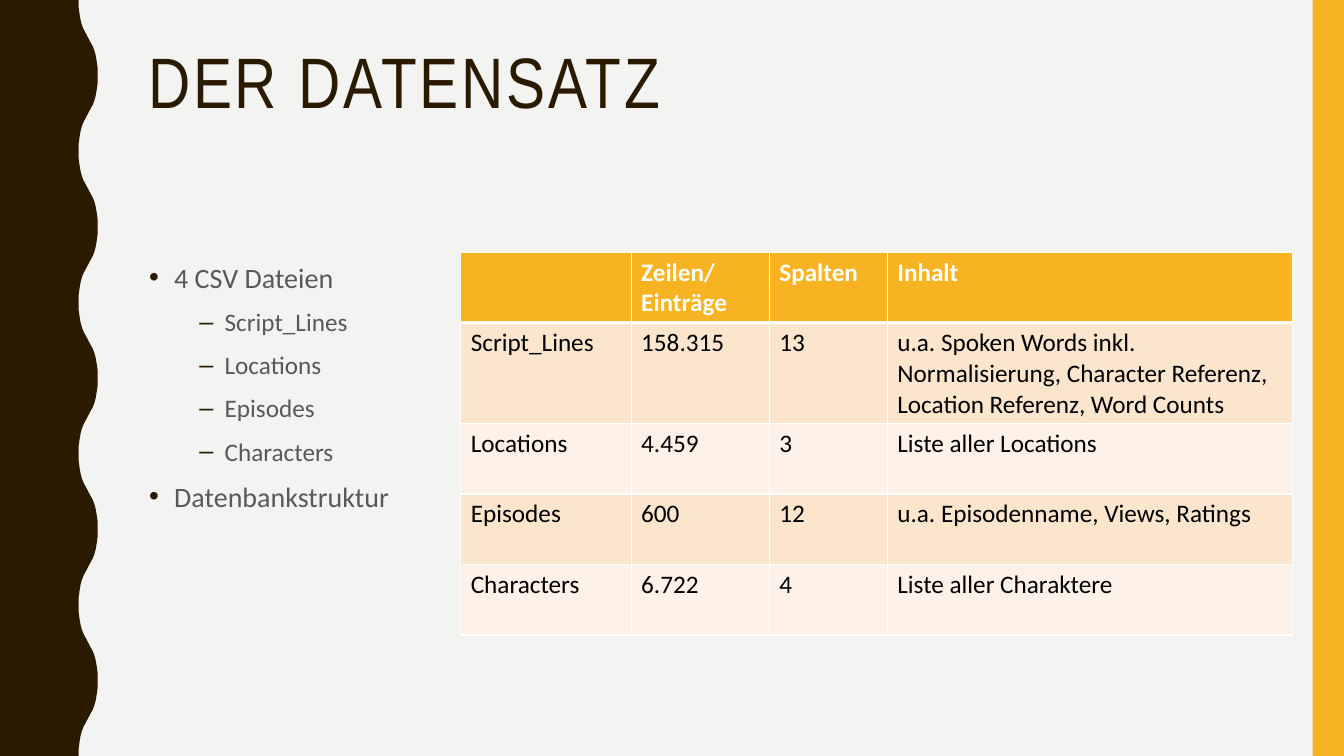
"""Build the slide that describes the data set: a file list beside a table."""
from lxml import etree
from pptx import Presentation
from pptx.dml.color import RGBColor
from pptx.enum.shapes import MSO_SHAPE
from pptx.enum.text import MSO_ANCHOR
from pptx.oxml.ns import qn
from pptx.util import Inches, Pt

RECTANGLE = MSO_SHAPE.RECTANGLE
TOP = MSO_ANCHOR.TOP
color = RGBColor.from_string
BROWN, GOLD, WHITE, GREY, BLACK = "2A1A00", "F8B323", "FFFFFF", "595959", "000000"
BANDS = ["FCE5CD", "FEF2E8"]

deck = Presentation()
deck.slide_width, deck.slide_height = Inches(13.33), Inches(7.5)
COLUMN, ROW = deck.slide_width / 100, deck.slide_height / 100


def place(*lengths):
    """Turn alternating grid columns and rows into slide lengths."""
    return [int(length * (ROW if index % 2 else COLUMN)) for index, length in enumerate(lengths)]


def add_span(para, text, size, hue, font="Calibri", bold=False):
    """Add one styled run to a paragraph."""
    span = para.add_run()
    span.text = text
    span.font.size, span.font.name, span.font.bold = Pt(size), font, bold
    span.font.color.rgb = color(hue)
    return span


page = deck.slides.add_slide(deck.slide_layouts[6])
page.background.fill.solid()
page.background.fill.fore_color.rgb = color("F3F3F2")

WAVE_MIDDLE, WAVE_SWING, WAVE_LENGTH = 6.56, 0.71, 20
quarter = [(0, 1), (0.93, 1), (1.87, 0.9), (2.67, 0.79), (3.33, 0.65), (3.87, 0.48), (4.4, 0.25), (5, 0)]
half = quarter + [(WAVE_LENGTH / 2 - y, -swing) for y, swing in reversed(quarter[:-1])]
wave = half + [(WAVE_LENGTH - y, swing) for y, swing in reversed(half[1:-1])]
edge = [
    place(WAVE_MIDDLE - WAVE_SWING * swing, start + y)
    for start in range(0, 100, WAVE_LENGTH)
    for y, swing in wave
]
edge += [place(WAVE_MIDDLE - WAVE_SWING, 100), place(0, 100)]
builder = page.shapes.build_freeform(0, 0)
builder.add_line_segments(edge, close=True)
wavy_edge = builder.convert_to_shape()
side_bar = page.shapes.add_shape(RECTANGLE, *place(97.67, 0, 2.33, 100))
for shape, hue in [(wavy_edge, BROWN), (side_bar, GOLD)]:
    shape.shadow.inherit = False
    shape.fill.solid()
    shape.fill.fore_color.rgb = color(hue)
    shape.line.fill.background()

title_box = page.shapes.add_textbox(*place(10.28, 5.6, 83.5, 21.73))
list_box = page.shapes.add_textbox(*place(10.35, 33.33, 39.38, 52.8))
for box in (title_box, list_box):
    box.text_frame.word_wrap = True
    box.text_frame.vertical_anchor = TOP

title = title_box.text_frame.paragraphs[0]
title.line_spacing = 0.9
title_span = add_span(title, "DER DATENSATZ", 51, BROWN, "Arial Narrow")
title_span.font._element.set("spc", "200")

LEVELS = [("•", 0.25, 20), ("–", 0.75, 18)]
items = [
    (0, "4 CSV Dateien"),
    (1, "Script_Lines"),
    (1, "Locations"),
    (1, "Episodes"),
    (1, "Characters"),
    (0, "Datenbankstruktur"),
]
for index, (level, text) in enumerate(items):
    frame = list_box.text_frame
    para = frame.add_paragraph() if index else frame.paragraphs[0]
    mark, indent, size = LEVELS[level]
    para.level, para.line_spacing, para.space_before = level, 1.1, Pt(7)
    add_span(para, text, size, GREY)
    settings = para._p.get_or_add_pPr()
    settings.set("marL", str(Inches(indent)))
    settings.set("indent", str(-Inches(0.25)))
    bullet_color = etree.SubElement(settings, qn("a:buClr"))
    etree.SubElement(bullet_color, qn("a:srgbClr"), val=BROWN)
    etree.SubElement(settings, qn("a:buFont"), typeface="Arial")
    etree.SubElement(settings, qn("a:buChar"), char=mark)

records = [
    ["", "Zeilen/\nEinträge", "Spalten", "Inhalt"],
    [
        "Script_Lines", "158.315", "13",
        "u.a. Spoken Words inkl. Normalisierung, Character Referenz,\nLocation Referenz, Word Counts",
    ],
    ["Locations", "4.459", "3", "Liste aller Locations"],
    ["Episodes", "600", "12", "u.a. Episodenname, Views, Ratings"],
    ["Characters", "6.722", "4", "Liste aller Charaktere"],
]
column_widths = [12.68, 10.28, 8.78, 30.16]
row_heights = [9.33, 12.4, 9.33, 9.33, 9.33]
table_area = place(34.28, 33.33, sum(column_widths), sum(row_heights))
table = page.shapes.add_table(len(records), len(column_widths), *table_area).table
for column, width in zip(table.columns, column_widths):
    column.width = int(width * COLUMN)
for row, height in zip(table.rows, row_heights):
    row.height = int(height * ROW)

for row_index, record in enumerate(records):
    header = row_index == 0
    for column_index, text in enumerate(record):
        cell = table.cell(row_index, column_index)
        borders = {"lnL": 1, "lnR": 1, "lnT": 3 if row_index == 1 else 1, "lnB": 3 if header else 1}
        for side, weight in borders.items():
            border = etree.SubElement(cell._tc.get_or_add_tcPr(), qn(f"a:{side}"), w=str(Pt(weight)))
            border_fill = etree.SubElement(border, qn("a:solidFill"))
            etree.SubElement(border_fill, qn("a:srgbClr"), val=WHITE)
        cell.fill.solid()
        cell.fill.fore_color.rgb = color(GOLD if header else BANDS[(row_index - 1) % 2])
        for line_index, line in enumerate(text.split("\n") if text else []):
            frame = cell.text_frame
            para = frame.add_paragraph() if line_index else frame.paragraphs[0]
            add_span(para, line, 18, WHITE if header else BLACK, bold=header)

deck.save("out.pptx")
